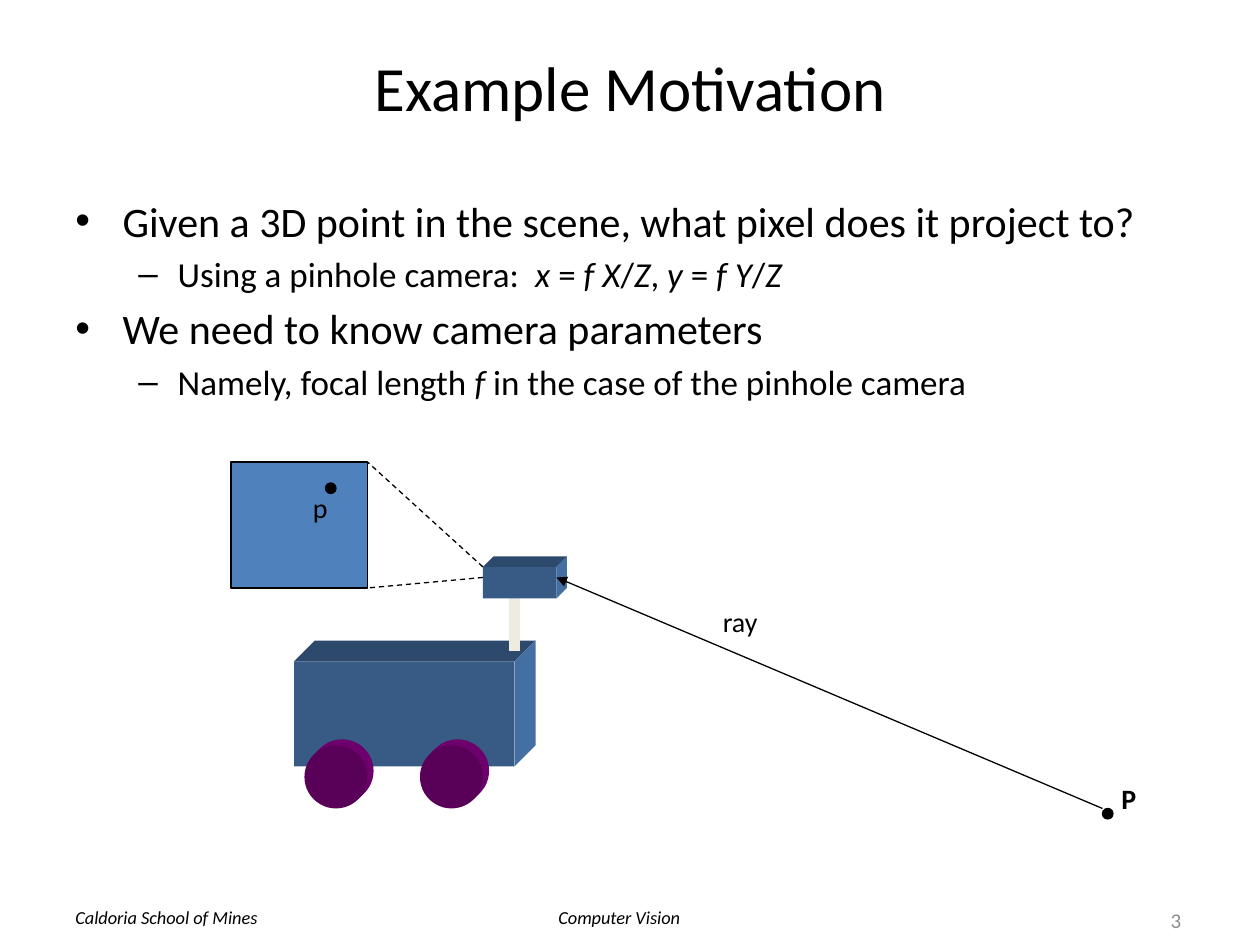
from lxml import etree
from pptx import Presentation
from pptx.dml.color import RGBColor
from pptx.enum.dml import MSO_LINE
from pptx.enum.shapes import MSO_CONNECTOR, MSO_SHAPE
from pptx.enum.text import MSO_ANCHOR, PP_ALIGN
from pptx.oxml.ns import qn
from pptx.util import Pt

STRAIGHT = MSO_CONNECTOR.STRAIGHT
RECTANGLE, OVAL = MSO_SHAPE.RECTANGLE, MSO_SHAPE.OVAL
DASH = MSO_LINE.DASH
TOP, MIDDLE = MSO_ANCHOR.TOP, MSO_ANCHOR.MIDDLE
LEFT, CENTER, RIGHT = PP_ALIGN.LEFT, PP_ALIGN.CENTER, PP_ALIGN.RIGHT

BLACK = RGBColor(0x00, 0x00, 0x00)
GRAY = RGBColor(0x8C, 0x8C, 0x8C)
IMAGE_BLUE = RGBColor(0x4F, 0x81, 0xBD)
FRONT_BLUE = RGBColor(0x37, 0x5B, 0x85)
TOP_BLUE = RGBColor(0x2D, 0x4A, 0x6C)
SIDE_BLUE = RGBColor(0x44, 0x6F, 0xA3)
MAST_IVORY = RGBColor(0xEE, 0xEC, 0xE1)
WHEEL_FRONT = RGBColor(0x59, 0x00, 0x59)
WHEEL_BACK = RGBColor(0x6D, 0x00, 0x6D)
FONT = "Calibri"

# Each bullet is (level, spans); each span is (text, italic).
BULLETS = [
    (0, [("Given a 3D point in the scene, what pixel does it project to?", False)]),
    (1, [("Using a pinhole camera:  ", False), ("x ", True), ("= ", False),
         ("f X", True), ("/", False), ("Z", True), (", ", False), ("y", True),
         (" = ", False), ("f Y", True), ("/", False), ("Z", True)]),
    (0, [("We need to know camera parameters", False)]),
    (1, [("Namely, focal length ", False), ("f", True),
         (" in the case of the pinhole camera", False)]),
]
# Each level is (font size, left margin, hanging indent, bullet).
LEVELS = [(24, 27, 27, "•"), (20, 58.5, 22.5, "–")]


def style_span(span, size, color=BLACK, bold=False, italic=False):
    """Set the font of one run."""
    span.font.name, span.font.size = FONT, Pt(size)
    span.font.bold, span.font.italic = bold, italic
    span.font.color.rgb = color


def add_text(page, box, text, size, align=LEFT, anchor=TOP, wrap=True, **style):
    """Place one line of text in the box."""
    frame = page.shapes.add_textbox(*map(Pt, box)).text_frame
    frame.word_wrap, frame.vertical_anchor = wrap, anchor
    frame.text = text
    para = frame.paragraphs[0]
    para.alignment = align
    style_span(para.runs[0], size, **style)


def paint(shape, fill, line=None):
    """Give a shape a flat fill and an optional thin outline."""
    shape.shadow.inherit = False
    shape.fill.solid()
    shape.fill.fore_color.rgb = fill
    if line is None:
        shape.line.fill.background()
    else:
        shape.line.color.rgb = line
        shape.line.width = Pt(0.75)


def add_block(page, kind, box, fill, line=None):
    """Place a painted preset shape in the box."""
    paint(page.shapes.add_shape(kind, *map(Pt, box)), fill, line)


def add_line(page, start, end, color=BLACK, width=0.75, dashed=False, arrow=False):
    """Draw a straight line, with an arrowhead at its start if asked."""
    line = page.shapes.add_connector(STRAIGHT, *map(Pt, start + end))
    line.line.color.rgb = color
    line.line.width = Pt(width)
    if dashed:
        line.line.dash_style = DASH
    if arrow:
        etree.SubElement(line.line._get_or_add_ln(), qn("a:headEnd"), type="triangle")
    etree.SubElement(line._element.spPr, qn("a:effectLst"))


def add_face(page, points, fill):
    """Draw a filled polygon through the points."""
    builder = page.shapes.build_freeform(*points[0], scale=Pt(1))
    builder.add_line_segments(points[1:], close=True)
    paint(builder.convert_to_shape(), fill)


def add_solid_box(page, box, depth):
    """Draw a box whose front fills the given box, receding up and right."""
    left, top, width, height = box
    right, bottom = left + width, top + height
    back_right, back_top = right + depth, top - depth
    add_face(page, [(left, top), (left + depth, back_top),
                    (back_right, back_top), (right, top)], TOP_BLUE)
    add_face(page, [(right, top), (back_right, back_top),
                    (back_right, bottom - depth), (right, bottom)], SIDE_BLUE)
    add_block(page, RECTANGLE, box, FRONT_BLUE)


def add_wheel(page, box, depth):
    """Draw a thick wheel whose front fills the given box."""
    left, top, width, height = box
    add_block(page, OVAL, (left + depth, top - depth, width, height), WHEEL_BACK)
    add_block(page, OVAL, (left + depth / 2, top - depth / 2, width, height), WHEEL_BACK)
    add_block(page, OVAL, box, WHEEL_FRONT)


def add_bullets(page, box):
    """Place the two-level bullet list in the box."""
    frame = page.shapes.add_textbox(*map(Pt, box)).text_frame
    frame.word_wrap = True
    for index, (level, spans) in enumerate(BULLETS):
        size, margin, hanging, bullet = LEVELS[level]
        para = frame.add_paragraph() if index else frame.paragraphs[0]
        para.level, para.space_before = level, Pt(size * 0.2)
        for text, italic in spans:
            span = para.add_run()
            span.text = text
            style_span(span, size, italic=italic)
        properties = para._p.get_or_add_pPr()
        properties.set("marL", str(Pt(margin)))
        properties.set("indent", str(-Pt(hanging)))
        etree.SubElement(properties, qn("a:buFont"), typeface="Arial")
        etree.SubElement(properties, qn("a:buChar"), char=bullet)


def add_rover(page, box):
    """Draw the rover with its mast and camera in the box."""
    left, top, width, height = box
    add_solid_box(page, (left, top + 54, 126, 60), 12)
    for wheel_left in (left + 6, left + 72):
        add_wheel(page, (wheel_left, top + height - 36, 36, 36), 3.5)
    mast = left + width - 12
    add_line(page, (mast, top + 48), (mast, top + 12), MAST_IVORY, 6)
    add_solid_box(page, (left + 108, top, 42, 18), 6)


def add_projection(page, box):
    """Draw the ray, the image plane and both points in the box."""
    left, top, width, height = box
    camera_left, camera_right = left + 144, left + 186
    plane_right = left + 78
    scene_x, scene_y = left + width - 6, top + height - 6
    add_line(page, (camera_right, top + 66), (scene_x, scene_y), arrow=True)
    add_block(page, RECTANGLE, (left, top, 78, 72), IMAGE_BLUE, BLACK)
    for camera_y, plane_y in ((60, 0), (66, 72)):
        add_line(page, (camera_left, top + camera_y), (plane_right, top + plane_y),
                 dashed=True)
    for dot_x, dot_y in ((left + 54, top + 12), (scene_x, scene_y)):
        add_block(page, OVAL, (dot_x, dot_y, 6, 6), BLACK, BLACK)
    for text, x, y, bold in (("ray", 258, 78, False), ("P", 480, 179, True),
                             ("p", 18, 12.5, False)):
        add_text(page, (left + x, top + y, 66, 26.5), text, 16, CENTER, bold=bold)


def add_footer(page, box):
    """Place the school, course and page number along the box."""
    left, top, width, height = box
    for text, x, label_width in (("Caldoria School of Mines", 0, 123),
                                 ("Computer Vision", 276, 85)):
        add_text(page, (left + x, top + 3, label_width, 20), text, 10.5,
                 wrap=False, italic=True)
    add_text(page, (left + width - 168, top, 168, height), "3", 12, RIGHT, MIDDLE,
             color=GRAY)


def main():
    """Build the slide and save it."""
    deck = Presentation()
    deck.slide_width, deck.slide_height = Pt(720), Pt(540)
    page = deck.slides.add_slide(deck.slide_layouts[6])
    add_footer(page, (36, 511, 646, 29))
    add_text(page, (36, 21.5, 648, 56), "Example Motivation", 36, CENTER, MIDDLE)
    add_bullets(page, (36, 108, 648, 150))
    add_rover(page, (168, 324, 138, 138))
    add_projection(page, (132, 264, 504, 204))
    deck.save("out.pptx")


if __name__ == "__main__":
    main()
